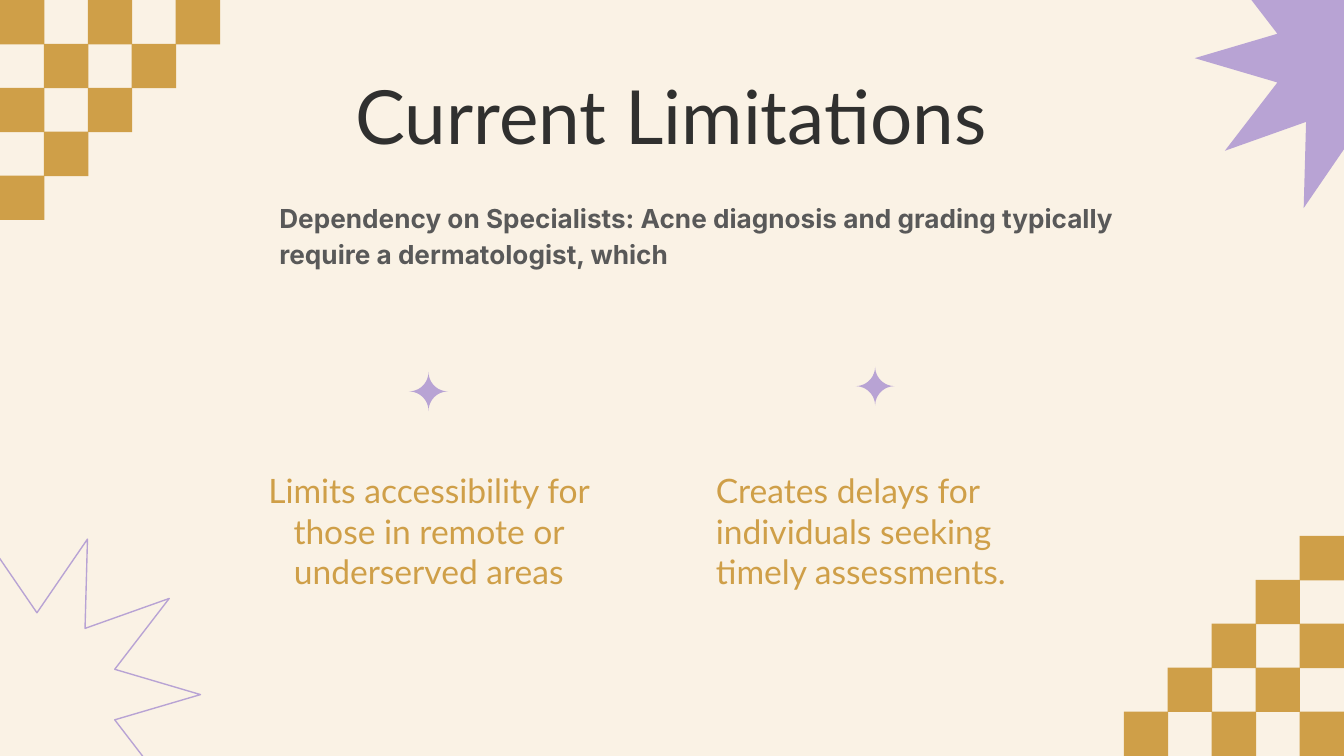
"""Build the Current Limitations slide with its checkered and starry corners."""
from dataclasses import dataclass
from math import cos, pi, sin
from typing import Optional

from pptx import Presentation
from pptx.dml.color import RGBColor
from pptx.enum.shapes import MSO_SHAPE as Preset
from pptx.enum.text import MSO_ANCHOR as Anchor, PP_ALIGN as Align
from pptx.shapes.autoshape import Shape
from pptx.slide import Slide
from pptx.util import Cm, Pt

Point = tuple[float, float]


@dataclass(frozen=True)
class Theme:
    cream: str = "FAF2E5"
    gold: str = "CF9F48"
    lilac: str = "B8A3D4"
    ink: str = "30302F"
    gray: str = "595959"
    heading_font: str = "Lato"
    body_font: str = "Inter"
    title_size: int = 40
    card_size: int = 18
    body_size: int = 14
    outline: float = 0.75


@dataclass(frozen=True)
class TextBlock:
    text: str
    left: float
    top: float
    width: float
    height: float
    size: int
    color: str
    font: str
    align: Align = Align.LEFT
    anchor: Anchor = Anchor.MIDDLE
    bold: bool = False
    indent: float = 0
    line_spacing: float = 1.0
    space_after: int = 0


@dataclass(frozen=True)
class Burst:
    center: Point
    radius: float
    filled: bool


THEME = Theme()
WIDTH, HEIGHT = 25.4, 14.29
SQUARE, PITCH, STEPS = 0.84, 0.83, 5
BURST_TIPS, BURST_INNER = 10, 0.5
SPARKLE_RADIUS, ARC_STEPS = 0.37, 12

BURSTS = [
    Burst((25.56, 1.1), 2.98, True),
    Burst((0.7, 13.13), 3.09, False),
]
SPARKLES = [(8.1, 7.4), (16.54, 7.3)]
TEXTS = [
    TextBlock("Current Limitations", 5, 1.37, 15.37, 1.6,
              THEME.title_size, THEME.ink, THEME.heading_font, Align.CENTER),
    TextBlock("Limits accessibility for those in remote or underserved areas",
              4.55, 9.3, 7.11, 1.47,
              THEME.card_size, THEME.gold, THEME.heading_font, Align.CENTER),
    TextBlock("Creates delays for individuals seeking timely assessments.",
              13.28, 9.3, 6.5, 1.47,
              THEME.card_size, THEME.gold, THEME.heading_font),
    TextBlock("Dependency on Specialists: Acne diagnosis and grading typically "
              "require a dermatologist, which",
              3.76, 3.48, 18.16, 1.83,
              THEME.body_size, THEME.gray, THEME.body_font,
              anchor=Anchor.TOP, bold=True, indent=1.27,
              line_spacing=1.15, space_after=16),
]


def rgb(value: str) -> RGBColor:
    """Turn a hex string into a colour."""
    return RGBColor.from_string(value)


def paint(shape: Shape, fill: Optional[str], line: Optional[str] = None) -> None:
    """Set the fill and outline of a shape and drop its shadow."""
    shape.shadow.inherit = False
    if fill:
        shape.fill.solid()
        shape.fill.fore_color.rgb = rgb(fill)
    else:
        shape.fill.background()
    if line:
        shape.line.color.rgb = rgb(line)
        shape.line.width = Pt(THEME.outline)
    else:
        shape.line.fill.background()


def polar(center: Point, radius: float, angle: float) -> Point:
    """Return the point at an angle and distance from a center."""
    return center[0] + radius * cos(angle), center[1] + radius * sin(angle)


def add_polygon(slide: Slide, points: list[Point]) -> Shape:
    """Draw a closed outline through points given in centimetres."""
    corners = [(Cm(x), Cm(y)) for x, y in points]
    builder = slide.shapes.build_freeform(*corners[0])
    builder.add_line_segments(corners[1:], close=True)
    return builder.convert_to_shape()


def add_checkers(slide: Slide, from_bottom_right: bool) -> None:
    """Draw a triangle of alternating squares in a slide corner."""
    for row in range(STEPS):
        for column in range(row % 2, STEPS - row, 2):
            left, top = column * PITCH, row * PITCH
            if from_bottom_right:
                left, top = WIDTH - SQUARE - left, HEIGHT - SQUARE - top
            square = slide.shapes.add_shape(
                Preset.RECTANGLE, Cm(left), Cm(top), Cm(SQUARE), Cm(SQUARE))
            paint(square, THEME.gold)


def add_burst(slide: Slide, burst: Burst) -> None:
    """Draw a star with straight points."""
    radii = (burst.radius, burst.radius * BURST_INNER)
    points = [polar(burst.center, radii[index % 2], index * pi / BURST_TIPS)
              for index in range(2 * BURST_TIPS)]
    shape = add_polygon(slide, points)
    if burst.filled:
        paint(shape, THEME.lilac)
    else:
        paint(shape, None, THEME.lilac)


def add_sparkle(slide: Slide, center: Point) -> None:
    """Draw a four-pointed star whose sides are quarter circles."""
    points = []
    for quarter, (side_x, side_y) in enumerate([(1, 1), (-1, 1), (-1, -1), (1, -1)]):
        corner = (center[0] + side_x * SPARKLE_RADIUS,
                  center[1] + side_y * SPARKLE_RADIUS)
        start = (quarter - 1) * pi / 2
        points += [polar(corner, SPARKLE_RADIUS, start - step * pi / 2 / ARC_STEPS)
                   for step in range(ARC_STEPS)]
    paint(add_polygon(slide, points), THEME.lilac)


def add_text(slide: Slide, block: TextBlock) -> None:
    """Place a wrapped text box with a single styled run."""
    box = slide.shapes.add_textbox(
        Cm(block.left), Cm(block.top), Cm(block.width), Cm(block.height))
    frame = box.text_frame
    frame.word_wrap = True
    frame.vertical_anchor = block.anchor
    frame.margin_left = frame.margin_right = Cm(0.25)
    frame.margin_top = frame.margin_bottom = Cm(0.25)
    paragraph = frame.paragraphs[0]
    paragraph.alignment = block.align
    paragraph.line_spacing = block.line_spacing
    paragraph.space_after = Pt(block.space_after)
    if block.indent:
        properties = paragraph._p.get_or_add_pPr()
        properties.set("marL", str(Cm(block.indent)))
        properties.set("indent", "0")
    run = paragraph.add_run()
    run.text = block.text
    run.font.name = block.font
    run.font.size = Pt(block.size)
    run.font.bold = block.bold
    run.font.color.rgb = rgb(block.color)


def main() -> None:
    """Assemble and save the slide."""
    presentation = Presentation()
    presentation.slide_width, presentation.slide_height = Cm(WIDTH), Cm(HEIGHT)
    slide = presentation.slides.add_slide(presentation.slide_layouts[6])
    slide.background.fill.solid()
    slide.background.fill.fore_color.rgb = rgb(THEME.cream)
    for from_bottom_right in (False, True):
        add_checkers(slide, from_bottom_right)
    for burst in BURSTS:
        add_burst(slide, burst)
    for center in SPARKLES:
        add_sparkle(slide, center)
    for block in TEXTS:
        add_text(slide, block)
    presentation.save("out.pptx")


if __name__ == "__main__":
    main()
